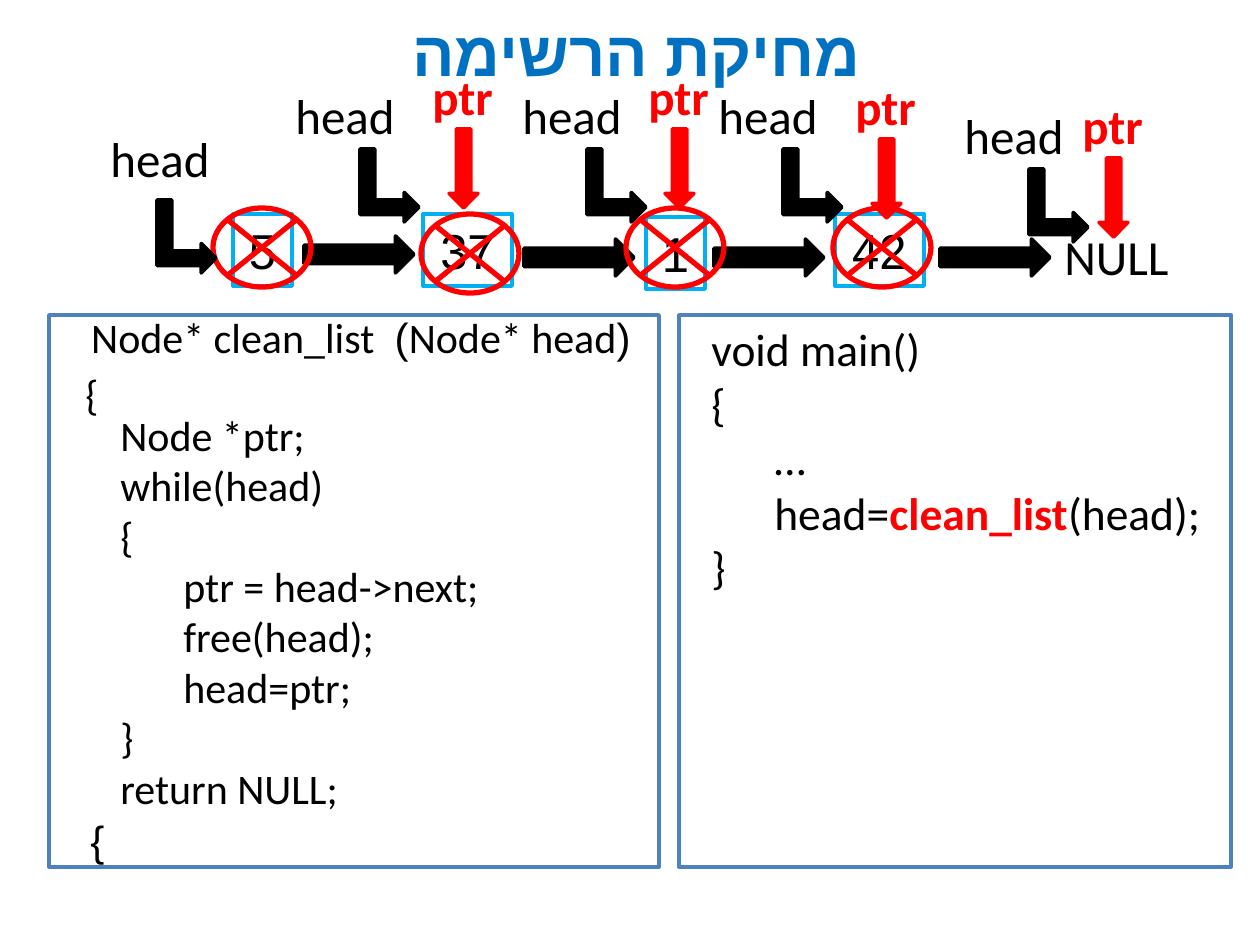
from dataclasses import dataclass

from lxml import etree
from pptx import Presentation
from pptx import util as u
from pptx.dml import color
from pptx.enum import shapes, text
from pptx.oxml import ns

PX = 914400 // 126
KIND = shapes.MSO_SHAPE
ALIGN = text.PP_ALIGN


@dataclass(frozen=True)
class Theme:
    """Colours, fonts and type sizes of the slide."""
    ink: str = "000000"
    accent: str = "FF0000"
    title: str = "0070C0"
    node: str = "00B0F0"
    panel: str = "4F81BD"
    latin_font: str = "Calibri"
    rtl_font: str = "Arial"
    title_size: int = 36
    label_size: int = 28
    main_size: int = 26
    code_size: int = 24


THEME = Theme()


def rgb(value):
    """Turn a hex string into a colour."""
    return color.RGBColor.from_string(value)


def write(frame, lines, size=THEME.label_size, ink=THEME.ink, bold=False,
          font=THEME.latin_font, align=ALIGN.LEFT, rtl=False, wrap=True, middle=False):
    """Fill a frame with (level, [(text, highlighted)]) lines or one plain string."""
    frame.word_wrap = wrap
    frame.vertical_anchor = text.MSO_ANCHOR.MIDDLE if middle else text.MSO_ANCHOR.TOP
    if isinstance(lines, str):
        lines = [(0, [(lines, False)])]
    for index, (level, pieces) in enumerate(lines):
        paragraph = frame.add_paragraph() if index else frame.paragraphs[0]
        paragraph.alignment = align
        paragraph.level = level
        properties = paragraph._p.get_or_add_pPr()
        properties.set("marL", str(level * u.Inches(0.5)))
        properties.set("indent", "0")
        if rtl:
            properties.set("rtl", "1")
        for words, highlighted in pieces:
            run = paragraph.add_run()
            run.text = words
            run.font.size = u.Pt(size)
            run.font.name = font
            run.font.bold = bold or highlighted
            run.font.color.rgb = rgb(THEME.accent if highlighted else ink)
            if rtl:
                complex_font = etree.SubElement(run.font._element, ns.qn("a:cs"))
                complex_font.set("typeface", THEME.rtl_font)


def label(slide, box, lines, **style):
    """Place a text box."""
    frame = slide.shapes.add_textbox(*(v * PX for v in box)).text_frame
    write(frame, lines, **style)


def outline(slide, kind, box, line, width=2, fill=None, turn=0):
    """Place a preset shape, hollow unless a fill is given."""
    shape = slide.shapes.add_shape(kind, *(v * PX for v in box))
    shape.shadow.inherit = False
    shape.rotation = turn
    shape.line.color.rgb = rgb(line)
    shape.line.width = u.Pt(width)
    if fill:
        shape.fill.solid()
        shape.fill.fore_color.rgb = rgb(fill)
    else:
        shape.fill.background()
    return shape


def node(slide, box, value):
    """Draw one list node with its value."""
    cell = outline(slide, KIND.RECTANGLE, box, THEME.node, 2.25)
    write(cell.text_frame, value, align=ALIGN.CENTER, rtl=True)


def head_pointer(slide, left, top, right=91, down=77):
    """Draw a head label and its bent arrow."""
    label(slide, (left, top, 166, 72), "head", align=ALIGN.CENTER, rtl=True)
    outline(slide, KIND.BENT_UP_ARROW, (left + right, top + down, 73, 59),
            THEME.ink, fill=THEME.ink, turn=90)


def ptr_pointer(slide, left, top):
    """Draw a ptr label and its downward arrow."""
    label(slide, (left, top, 88, 72), "ptr", ink=THEME.accent, bold=True)
    outline(slide, KIND.RIGHT_ARROW, (left + 4, top + 94, 79, 29),
            THEME.accent, fill=THEME.accent, turn=90)


def linked_list(slide, left, top):
    """Draw the list with its links, pointers and freed nodes."""
    for x, y, width, value in ((156, 154, 59, "5"), (346, 154, 89, "37"),
                               (569, 157, 59, "1"), (758, 154, 89, "42")):
        node(slide, (left + x, top + y, width, 72), value)
    for x, y in ((227, 176), (447, 179), (637, 179), (863, 179)):
        outline(slide, KIND.RIGHT_ARROW, (left + x, top + y, 110, 37),
                THEME.ink, fill=THEME.ink)
    label(slide, (left + 971, top + 160, 137, 72), "NULL", align=ALIGN.CENTER, rtl=True)
    for x, y in ((343, 0), (559, 0), (766, 10), (993, 29)):
        ptr_pointer(slide, left + x, top + y)
    for x, y in ((136, 148), (344, 154), (549, 148), (756, 148)):
        outline(slide, KIND.FLOWCHART_SUMMING_JUNCTION,
                (left + x, top + y, 98, 79), THEME.accent, 3)
    head_pointer(slide, left, top + 62, right=73, down=85)
    for x, y in ((185, 19), (412, 19), (608, 19), (854, 39)):
        head_pointer(slide, left + x, top + y)


def code_lines(*rows):
    """Turn (level, text) rows into plain lines."""
    return [(level, [(words, False)]) for level, words in rows]


def clean_list_panel(slide, left, top, width, height):
    """Draw the panel with the clean_list function."""
    size = THEME.code_size
    for x, y, w, words in ((27, -10, 311, "Node* clean_list"),
                           (333, -10, 261, "(Node* head)"), (29, 493, 39, "}")):
        label(slide, (left + x, top + y, w, 63), words, size=size,
              align=ALIGN.RIGHT, rtl=True, wrap=False)
    label(slide, (left + 24, top + 47, 59, 63), "{", size=size)
    body = code_lines((0, "Node *ptr;"), (0, "while(head)"), (0, "{"),
                      (1, "ptr = head->next;"), (1, "free(head);"),
                      (1, "head=ptr;"), (0, "}"), (0, "return NULL;"))
    label(slide, (left + 59, top + 88, 394, 420), body, size=size)
    outline(slide, KIND.RECTANGLE, (left, top, width, height), THEME.panel)


def main_panel(slide, left, top, width, height):
    """Draw the panel with the calling program."""
    call = (1, [("head=", False), ("clean_list", True), ("(head);", False)])
    program = code_lines((0, "void main()"), (0, "{"), (1, "…"))
    program += [call] + code_lines((0, "}"))
    label(slide, (left + 20, top, width - 20, 289), program, size=THEME.main_size)
    outline(slide, KIND.RECTANGLE, (left, top, width, height), THEME.panel)


def build():
    """Build and save the slide."""
    deck = Presentation()
    deck.slide_width, deck.slide_height = u.Inches(10), u.Inches(7.5)
    slide = deck.slides.add_slide(deck.slide_layouts[6])
    label(slide, (112, 0, 1032, 102), "מחיקת הרשימה ", size=THEME.title_size,
          ink=THEME.title, bold=True, font=THEME.rtl_font, align=ALIGN.CENTER,
          rtl=True, middle=True)
    linked_list(slide, 77, 60)
    clean_list_panel(slide, 49, 315, 610, 552)
    main_panel(slide, 679, 315, 552, 552)
    deck.save("out.pptx")


build()
